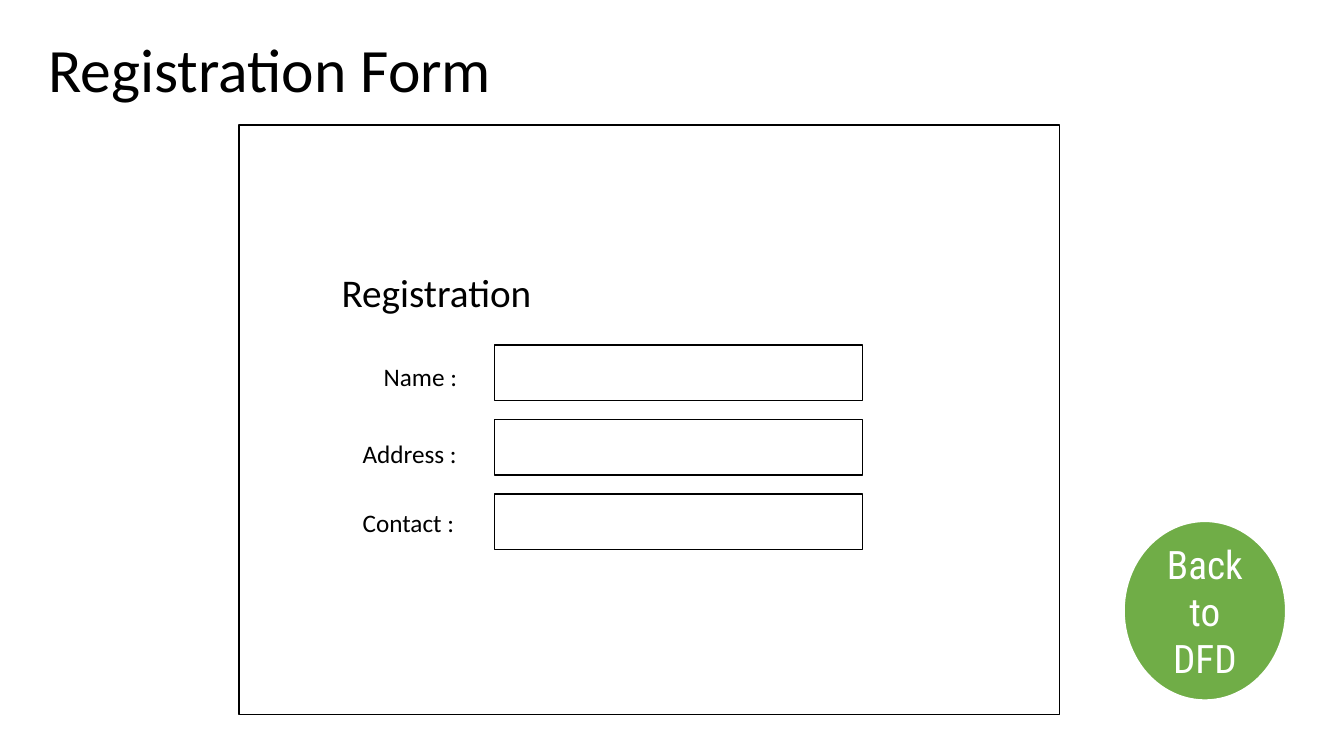
"""Build the registration form slide."""
from dataclasses import dataclass

import pptx
import pptx.dml.color
import pptx.enum.shapes
import pptx.enum.text
import pptx.shapes.autoshape
import pptx.slide
import pptx.text.text
import pptx.util

Cm = pptx.util.Cm
Shape = pptx.enum.shapes.MSO_SHAPE


@dataclass(frozen=True)
class Theme:
    """Colours, fonts and sizes of the slide."""
    black: str = "000000"
    white: str = "FFFFFF"
    green: str = "70AD47"
    body_font: str = "Calibri"
    button_font: str = "Roboto Condensed"
    title_size: float = 44
    heading_size: float = 28
    label_size: float = 18
    thin: float = 1
    thick: float = 1.5


@dataclass(frozen=True)
class Box:
    """A rectangular area in centimetres."""
    left: float
    top: float
    width: float
    height: float

    def lengths(self) -> tuple[pptx.util.Length, ...]:
        """Return left, top, width and height as lengths."""
        return Cm(self.left), Cm(self.top), Cm(self.width), Cm(self.height)


@dataclass(frozen=True)
class Label:
    """A single line of text and its place."""
    text: str
    box: Box
    size: float


THEME = Theme()
PANEL = Box(6.02, 3.15, 20.68, 14.86)
FIELD = Box(12.47, 8.69, 9.27, 1.4)
FIELD_STEP = 1.88
BUTTON = Box(28.32, 13.13, 4.09, 4.52)
FIELD_LABELS = [
    Label("Name :", Box(9.42, 8.97, 2.39, 1.02), THEME.label_size),
    Label("Address :", Box(8.89, 10.92, 2.92, 1.02), THEME.label_size),
    Label("Contact :", Box(8.89, 12.67, 2.84, 1.02), THEME.label_size),
]
HEADINGS = [
    Label("Registration", Box(8.36, 6.63, 5.36, 1.45), THEME.heading_size),
    Label("Registration Form", Box(0.97, 0.66, 11.81, 2.13), THEME.title_size),
]


def rgb(value: str) -> pptx.dml.color.RGBColor:
    """Return the colour for a hex value."""
    return pptx.dml.color.RGBColor.from_string(value)


def set_text(tf: pptx.text.text.TextFrame, text: str, font: str, size: float, color: str) -> None:
    """Fill a text frame with one formatted paragraph."""
    tf.text = text
    r = tf.paragraphs[0].runs[0]
    r.font.name = font
    r.font.size = pptx.util.Pt(size)
    r.font.color.rgb = rgb(color)


def add_shape(
    s: pptx.slide.Slide, kind: Shape, box: Box, fill: str, line: str, width: float
) -> pptx.shapes.autoshape.Shape:
    """Add a filled and outlined shape."""
    sp = s.shapes.add_shape(kind, *box.lengths())
    sp.shadow.inherit = False
    sp.fill.solid()
    sp.fill.fore_color.rgb = rgb(fill)
    sp.line.color.rgb = rgb(line)
    sp.line.width = pptx.util.Pt(width)
    return sp


def add_label(s: pptx.slide.Slide, label: Label) -> None:
    """Add an unwrapped line of text."""
    tf = s.shapes.add_textbox(*label.box.lengths()).text_frame
    set_text(tf, label.text, THEME.body_font, label.size, THEME.black)
    tf.word_wrap = False
    tf.auto_size = pptx.enum.text.MSO_AUTO_SIZE.SHAPE_TO_FIT_TEXT


def add_button(s: pptx.slide.Slide) -> None:
    """Add the round button that leads back."""
    sp = add_shape(s, Shape.OVAL, BUTTON, THEME.green, THEME.white, THEME.thick)
    tf = sp.text_frame
    set_text(tf, "Back to DFD", THEME.button_font, THEME.heading_size, THEME.white)
    tf.word_wrap = True
    tf.vertical_anchor = pptx.enum.text.MSO_ANCHOR.MIDDLE
    tf.paragraphs[0].alignment = pptx.enum.text.PP_ALIGN.CENTER


def main() -> None:
    """Build and save the presentation."""
    prs = pptx.Presentation()
    prs.slide_width, prs.slide_height = Cm(33.87), Cm(19.05)
    s = prs.slides.add_slide(prs.slide_layouts[6])
    fields = [
        Box(FIELD.left, FIELD.top + i * FIELD_STEP, FIELD.width, FIELD.height)
        for i in range(len(FIELD_LABELS))
    ]
    for box in [PANEL, *fields]:
        add_shape(s, Shape.RECTANGLE, box, THEME.white, THEME.black, THEME.thin)
    for label in FIELD_LABELS + HEADINGS:
        add_label(s, label)
    add_button(s)
    prs.save("out.pptx")


if __name__ == "__main__":
    main()
